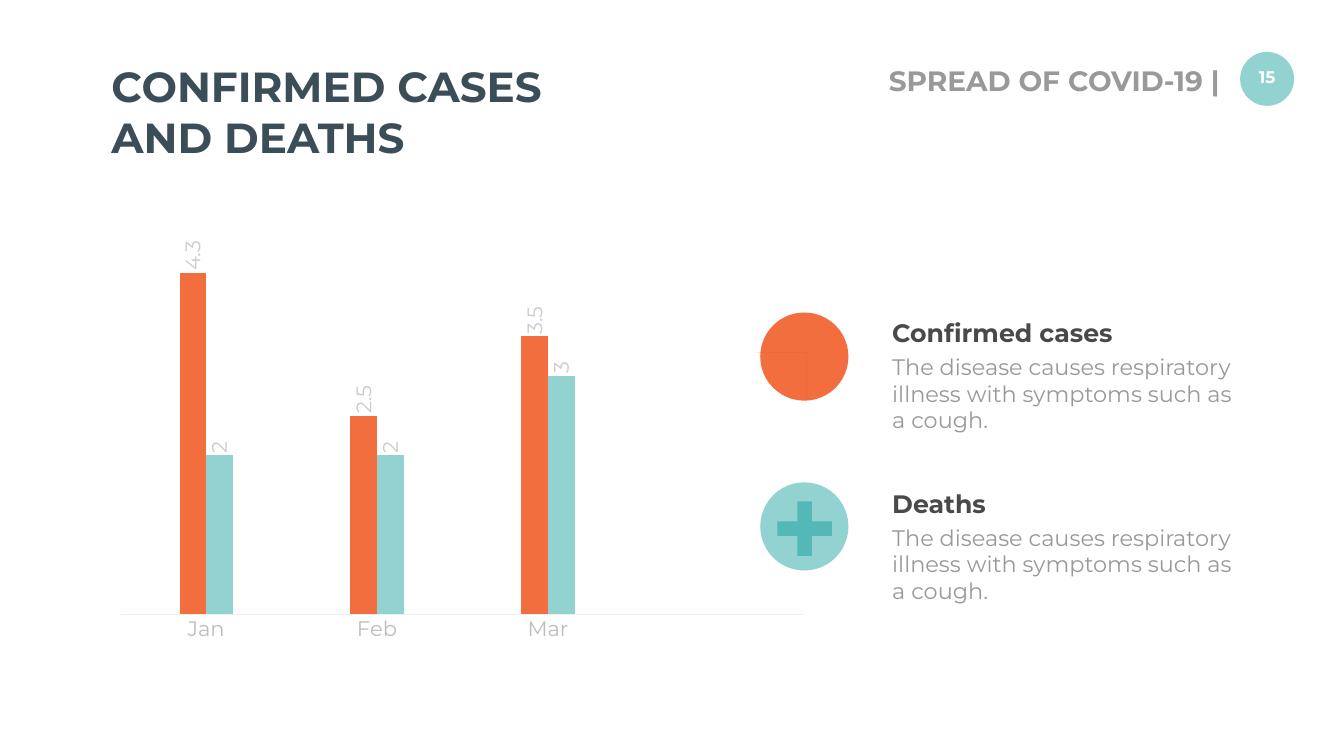
import math
import pptx
import pptx.util
import pptx.dml.color
import pptx.chart.data
import pptx.enum.chart
import pptx.enum.shapes
import pptx.enum.text
import pptx.oxml
import pptx.oxml.ns

Inches = pptx.util.Inches
Pt = pptx.util.Pt
SHAPE = pptx.enum.shapes.MSO_SHAPE
ALIGN = pptx.enum.text.PP_ALIGN
FONT = "Montserrat"
ORANGE, TEAL = "F36E3F", "92D2D1"
BLURB = "The disease causes respiratory illness with symptoms such as a cough."


def tint(hue):
    return pptx.dml.color.RGBColor.from_string(hue)


def style(font, size, hue, bold=False):
    font.name = FONT
    font.size = Pt(size)
    font.bold = bold
    font.color.rgb = tint(hue)


def paint(shape, hue):
    shape.shadow.inherit = False
    shape.fill.solid()
    shape.fill.fore_color.rgb = tint(hue)
    shape.line.fill.background()


def place(shape, box):
    shape.left, shape.top, shape.width, shape.height = map(Inches, box)


def write(shape, text, size, hue, bold=False, align=ALIGN.LEFT):
    frame = shape.text_frame
    frame.word_wrap = True
    frame.auto_size = pptx.enum.text.MSO_AUTO_SIZE.NONE
    frame.vertical_anchor = pptx.enum.text.MSO_ANCHOR.TOP
    para = frame.paragraphs[0]
    para.alignment = align
    run = para.add_run()
    run.text = text
    style(run.font, size, hue, bold)


def label(slide, box, *args, **opts):
    shape = slide.shapes.add_textbox(*map(Inches, box))
    write(shape, *args, **opts)


def disc(slide, left, top, size, hue):
    shape = slide.shapes.add_shape(
        SHAPE.OVAL, Inches(left), Inches(top), Inches(size), Inches(size))
    paint(shape, hue)


def ring(x, y, size, start, end, count):
    """Points along an arc, from one angle to another."""
    turns = [start + (end - start) * i / count for i in range(count + 1)]
    return [(x + size * math.cos(t), y + size * math.sin(t)) for t in turns]


def virus(slide, x, y, size, knobs, hue):
    """Round body with a thin stalk and a round knob for each spike."""
    spikes = sorted((math.atan2(b - y, a - x), a, b) for a, b in knobs)
    half = 0.06
    points = []
    for i, (turn, a, b) in enumerate(spikes):
        points += ring(a, b, 0.05, turn - 2.7, turn + 2.7, 12)
        after = spikes[(i + 1) % len(spikes)][0]
        if after < turn:
            after += 2 * math.pi
        points += ring(x, y, size, turn + half, after - half, 6)
    pen = slide.shapes.build_freeform(*points[0], scale=Inches(1))
    pen.add_line_segments(points[1:], close=True)
    paint(pen.convert_to_shape(), hue)


def cross(slide, x, y, length, width, hue):
    for w, h in ((width, length), (length, width)):
        bar = slide.shapes.add_shape(
            SHAPE.RECTANGLE, Inches(x - w / 2), Inches(y - h / 2),
            Inches(w), Inches(h))
        paint(bar, hue)


def fix_plot(chart, x, y, w, h):
    """Pin the inner plot area, in fractions of the chart."""
    area = chart._chartSpace.chart.plotArea
    for old in area.findall(pptx.oxml.ns.qn("c:layout")):
        area.remove(old)
    parts = [("layoutTarget", "inner"), ("xMode", "edge"), ("yMode", "edge"),
             ("x", x), ("y", y), ("w", w), ("h", h)]
    body = "".join(f'<c:{tag} val="{val}"/>' for tag, val in parts)
    area.insert(0, pptx.oxml.parse_xml(
        f'<c:layout {pptx.oxml.ns.nsdecls("c")}>'
        f'<c:manualLayout>{body}</c:manualLayout></c:layout>'))


def columns(slide, box):
    data = pptx.chart.data.CategoryChartData()
    data.categories = ["Jan", "Feb", "Mar", ""]
    data.add_series("Series 1", (4.3, 2.5, 3.5, None))
    data.add_series("Series 2", (2, 2, 3, None))
    kind = pptx.enum.chart.XL_CHART_TYPE.COLUMN_CLUSTERED
    chart = slide.shapes.add_chart(kind, *map(Inches, box), data).chart
    chart.has_legend = False
    chart.has_title = False
    style(chart.font, 30, "999999")

    # Axes
    none = pptx.enum.chart.XL_TICK_MARK.NONE
    months = chart.category_axis
    months.major_tick_mark = none
    months.format.line.color.rgb = tint("F0F0F0")
    months.format.line.width = Pt(0.75)
    style(months.tick_labels.font, 30, "BDBDBD")
    scale = chart.value_axis
    scale.minimum_scale, scale.maximum_scale = 0, 5
    scale.has_major_gridlines = False
    scale.visible = False

    # Bars and their upright values
    plot = chart.plots[0]
    plot.gap_width, plot.overlap = 444, 0
    plot.vary_by_categories = False
    for series, hue in zip(plot.series, (ORANGE, TEAL)):
        series.format.fill.solid()
        series.format.fill.fore_color.rgb = tint(hue)
        marks = series.data_labels
        marks.show_value = True
        marks.position = pptx.enum.chart.XL_LABEL_POSITION.OUTSIDE_END
        style(marks.font, 30, "CCCCCC")
        body = marks._element.find(".//" + pptx.oxml.ns.qn("a:bodyPr"))
        body.set("rot", "-5400000")
        body.set("vert", "horz")
    fix_plot(chart, 0.02, 0.02, 0.96, 0.9)


def main():
    deck = pptx.Presentation()
    deck.slide_width, deck.slide_height = Inches(26.66), Inches(15)
    slide = deck.slides.add_slide(deck.slide_layouts[5])

    # Header
    disc(slide, 24.6, 1.03, 1.07, TEAL)
    label(slide, (24.62, 1.28, 1.03, 0.61), "15", 24, "FFFFFF", True,
          align=ALIGN.CENTER)
    label(slide, (15.55, 1.21, 8.74, 0.77), "SPREAD OF COVID-19 |", 40,
          "999999", True, align=ALIGN.RIGHT)
    title = slide.shapes.title
    place(title, (2.11, 1.16, 10.14, 2.12))
    write(title, "CONFIRMED CASES AND DEATHS", 60, "3B4D56", True)

    columns(slide, (2.11, 4.14, 14.13, 8.74))

    # Key to the two series
    rows = (("Confirmed cases", ORANGE), ("Deaths", TEAL))
    for i, (name, hue) in enumerate(rows):
        top = 6.24 + 3.39 * i
        label(slide, (17.6, top, 5.87, 0.71), name, 36, "494949", True)
        label(slide, (17.6, top + 0.71, 7.04, 1.72), BLURB, 32, "999999")
        disc(slide, 15.08, 6.2 + 3.37 * i, 1.75, hue)

    # Icons
    cross(slide, 15.96, 10.49, 1.08, 0.29, "53B8B6")
    knobs = [(16.44, 7.07), (16.36, 6.84), (16.16, 6.64), (15.89, 6.6),
             (15.6, 6.7), (15.43, 6.99), (15.42, 7.28), (15.6, 7.51),
             (15.8, 7.62), (16.04, 7.57), (16.26, 7.51), (16.42, 7.31)]
    virus(slide, 15.93, 7.11, 0.39, knobs, "D8420E")

    deck.save("out.pptx")


if __name__ == "__main__":
    main()
